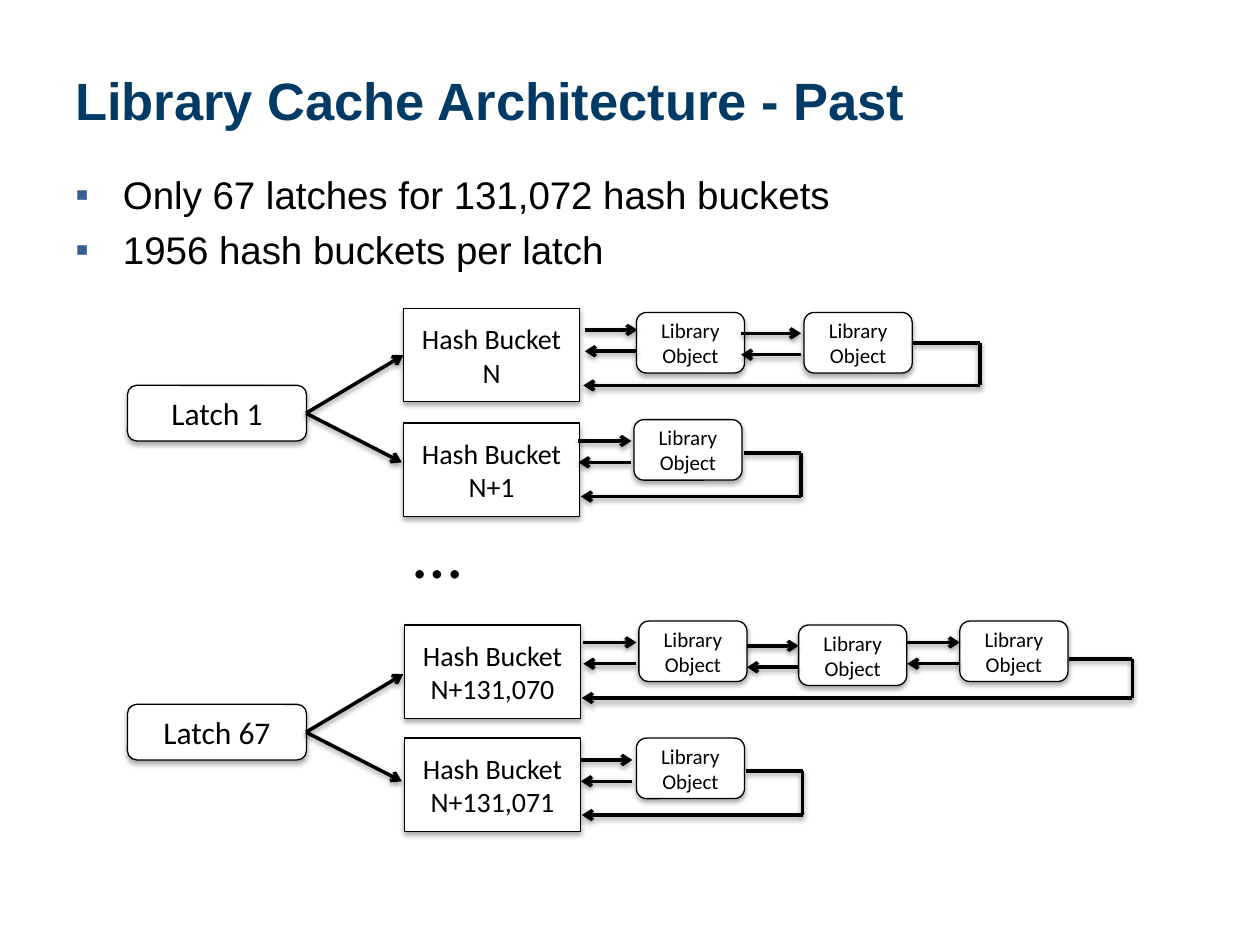
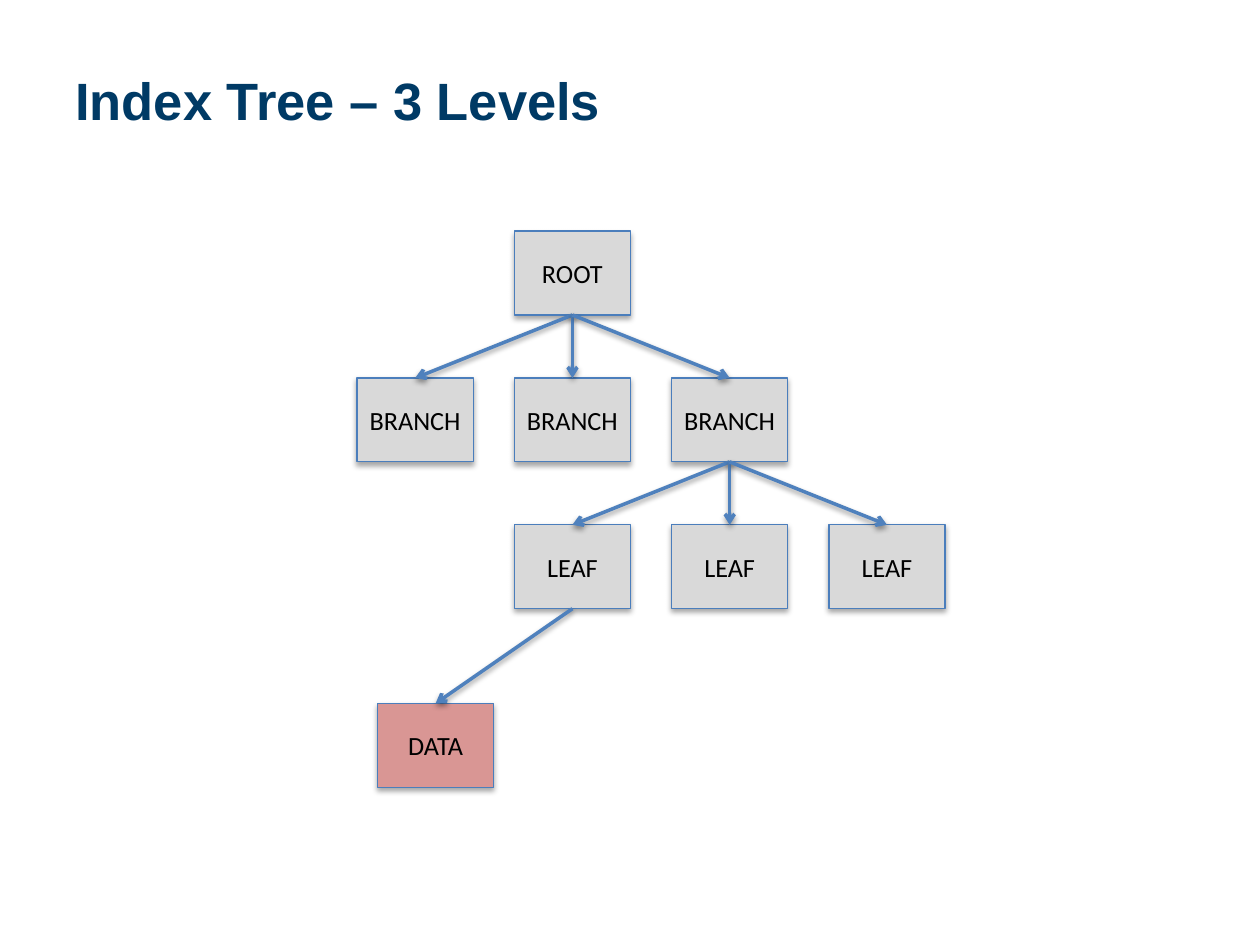
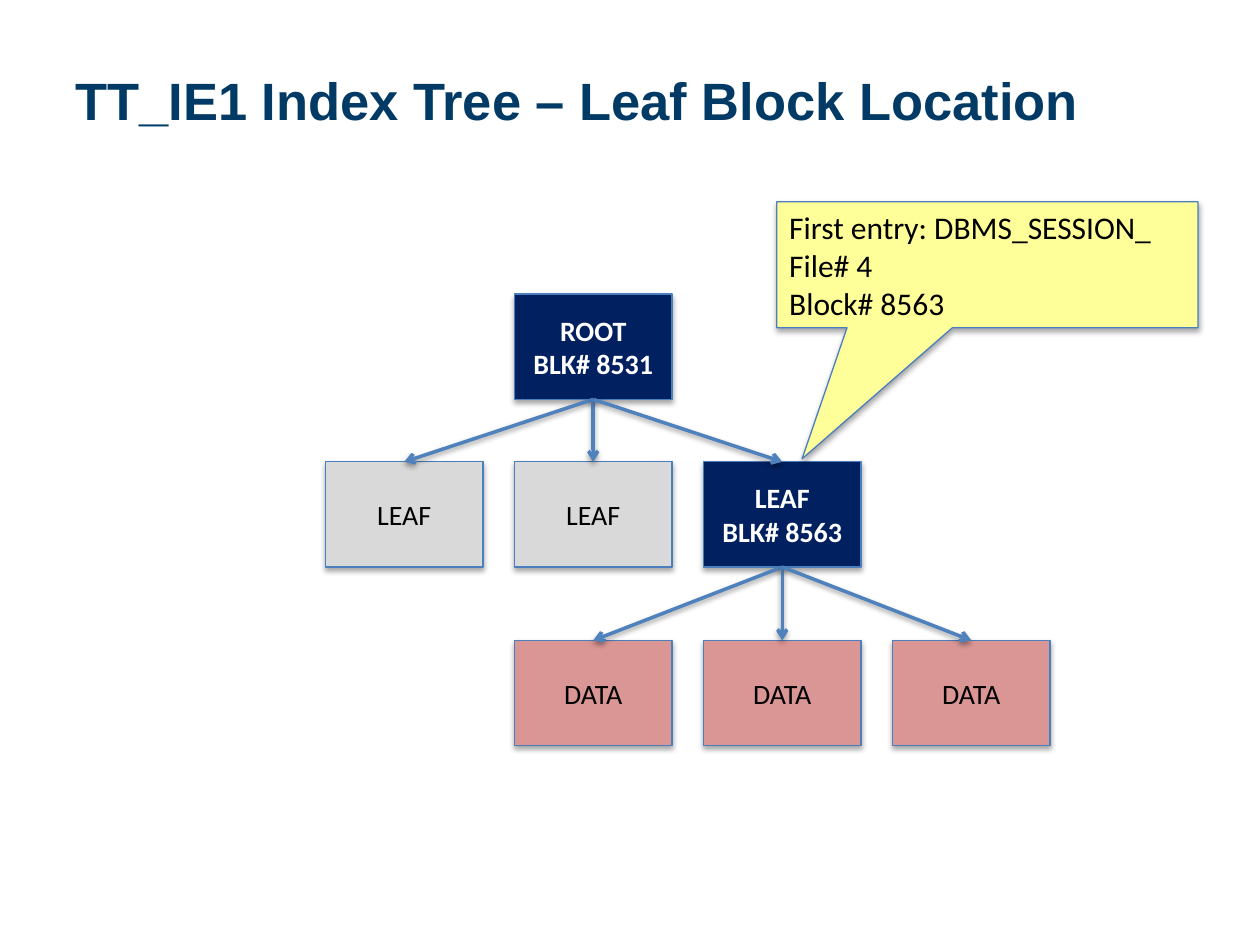
"""Build three slides on library cache latches and index trees."""
from dataclasses import dataclass

from lxml import etree
from pptx import Presentation
from pptx.dml.color import RGBColor
from pptx.enum.shapes import MSO_CONNECTOR, MSO_SHAPE
from pptx.enum.text import MSO_ANCHOR, PP_ALIGN
from pptx.oxml.ns import qn
from pptx.util import Cm, Pt

RECT = MSO_SHAPE.RECTANGLE
ROUNDED = MSO_SHAPE.ROUNDED_RECTANGLE
CALLOUT = MSO_SHAPE.RECTANGULAR_CALLOUT
STRAIGHT = MSO_CONNECTOR.STRAIGHT
TOP, MIDDLE, BOTTOM = MSO_ANCHOR.TOP, MSO_ANCHOR.MIDDLE, MSO_ANCHOR.BOTTOM
LEFT, CENTER = PP_ALIGN.LEFT, PP_ALIGN.CENTER
BOTTOM_SITE, TOP_SITE = 2, 0


@dataclass(frozen=True)
class Theme:
    """Colours, fonts and type sizes of the deck."""
    title: str = "003A65"
    bullet: str = "376092"
    black: str = "000000"
    white: str = "FFFFFF"
    grey: str = "D9D9D9"
    rose: str = "D99694"
    navy: str = "002060"
    yellow: str = "FFFF99"
    outline: str = "4B7EBC"
    arrow: str = "4F81BD"
    heading_font: str = "Arial"
    diagram_font: str = "Calibri"
    title_size: int = 30
    body_size: int = 22
    ellipsis_size: int = 40
    large: int = 18
    medium: int = 16
    node: int = 15
    small: int = 12


T = Theme()


@dataclass(frozen=True)
class Chain:
    """A hash bucket with its linked library objects, in centimetres."""
    label: str
    bucket: tuple
    objects: tuple
    links: tuple
    loop: tuple


@dataclass(frozen=True)
class Grid:
    """Columns and node sizes of an index tree, in centimetres."""
    left: float
    step: float
    width: float
    height: float
    size: int

    def box(self, col, top):
        """Return the frame of the node in a column."""
        return self.left + col * self.step, top, self.width, self.height


CHAINS = (
    Chain("N", (8.13, 6.22), ((12.83, 6.3), (16.21, 6.3)),
          ((11.79, 12.85, 6.65), (14.94, 16.15, 6.72)),
          (18.39, 6.91, 19.76, 7.77, 11.76)),
    Chain("N+1", (8.13, 8.53), ((12.78, 8.46),),
          ((11.66, 12.73, 8.89),),
          (14.99, 9.13, 16.15, 10.01, 11.71)),
    Chain("N+131,070", (8.15, 12.6),
          ((12.88, 12.52), (16.1, 12.6), (19.35, 12.52)),
          ((11.76, 12.83, 12.95), (15.06, 16.1, 13.02), (18.29, 19.35, 12.95)),
          (21.54, 13.28, 22.83, 14.07, 11.73)),
    Chain("N+131,071", (8.15, 14.88), ((12.83, 14.88),),
          ((11.71, 12.75, 15.32),),
          (15.04, 15.54, 16.18, 16.43, 11.73)),
)


def rgb(color):
    """Turn a hex string into a colour."""
    return RGBColor.from_string(color)


def add_shadow(effects, dist, alpha):
    """Put a soft downward shadow in an effect list."""
    shadow = etree.SubElement(effects, qn("a:outerShdw"), blurRad="40000",
                              dist=str(dist), dir="5400000", rotWithShape="0")
    color = etree.SubElement(shadow, qn("a:srgbClr"), val=T.black)
    etree.SubElement(color, qn("a:alpha"), val=str(alpha))


def write(s, text, size, color=T.black, font=T.diagram_font, bold=False,
          align=LEFT, anchor=TOP):
    """Set and format the text of a shape."""
    tf = s.text_frame
    tf.word_wrap = True
    tf.vertical_anchor = anchor
    tf.text = text
    for p in tf.paragraphs:
        p.alignment = align
        for r in p.runs:
            r.font.size = Pt(size)
            r.font.name = font
            r.font.bold = bold
            r.font.color.rgb = rgb(color)


def add_text(slide, box, text, size, **style):
    """Add a text box."""
    s = slide.shapes.add_textbox(*map(Cm, box))
    write(s, text, size, **style)
    return s


def add_box(slide, kind, box, text, size, fill=T.white, line=T.black,
            align=CENTER, anchor=MIDDLE, **style):
    """Add a filled, outlined and shadowed shape with text."""
    s = slide.shapes.add_shape(kind, *map(Cm, box))
    s.fill.solid()
    s.fill.fore_color.rgb = rgb(fill)
    s.line.color.rgb = rgb(line)
    s.line.width = Pt(0.75)
    s.shadow.inherit = False
    add_shadow(s._element.spPr.find(qn("a:effectLst")), 23000, 35000)
    write(s, text, size, align=align, anchor=anchor, **style)
    return s


def add_line(slide, start, end, color=T.black, arrow=True):
    """Add a shadowed line, with an arrowhead at its end if wanted."""
    s = slide.shapes.add_connector(STRAIGHT, *map(Cm, start + end))
    s.line.color.rgb = rgb(color)
    s.line.width = Pt(2)
    properties = s._element.spPr
    if arrow:
        etree.SubElement(properties.find(qn("a:ln")), qn("a:tailEnd"), type="arrow")
    add_shadow(etree.SubElement(properties, qn("a:effectLst")), 20000, 38000)
    return s


def add_slide(prs, title):
    """Add a blank slide with a title."""
    slide = prs.slides.add_slide(prs.slide_layouts[6])
    add_text(slide, (1.27, 0.76, 22.89, 2.51), title, T.title_size, color=T.title,
             font=T.heading_font, bold=True, anchor=MIDDLE)
    return slide


def add_bullets(slide, items):
    """Add the bulleted body text."""
    s = add_text(slide, (1.27, 3.32, 22.89, 14.3), "\n".join(items),
                 T.body_size, font=T.heading_font)
    for i, p in enumerate(s.text_frame.paragraphs):
        props = p._p.get_or_add_pPr()
        props.set("marL", str(Cm(0.96)))
        props.set("indent", str(Cm(-0.96)))
        color = etree.SubElement(props, qn("a:buClr"))
        etree.SubElement(color, qn("a:srgbClr"), val=T.bullet)
        etree.SubElement(props, qn("a:buFont"), typeface=T.heading_font)
        etree.SubElement(props, qn("a:buChar"), char="▪")
        if i:
            p.space_before = Pt(5)


def add_chain(slide, chain):
    """Draw a bucket, its objects, their two-way links and the way back."""
    add_box(slide, RECT, chain.bucket + (3.56, 1.88),
            f"Hash Bucket\n{chain.label}", T.medium)
    for corner in chain.objects:
        add_box(slide, ROUNDED, corner + (2.18, 1.22), "Library Object", T.small)
    for x1, x2, y in chain.links:
        add_line(slide, (x1, y), (x2, y))
        add_line(slide, (x2, y + 0.43), (x1, y + 0.43))
    x, y, turn, back, end = chain.loop
    add_line(slide, (x, y), (turn, y), arrow=False)
    add_line(slide, (turn, y), (turn, back), arrow=False)
    add_line(slide, (turn, back), (end, back))


def add_latch(slide, label, top):
    """Draw a latch and its arrows to two buckets."""
    add_box(slide, ROUNDED, (2.57, top, 3.61, 1.12), label, T.large)
    y = top + 0.56
    for x, drop in ((8.13, -1.17), (8.1, 0.99)):
        add_line(slide, (6.17, y), (x, y + drop))


def add_node(slide, grid, col, top, text, fill=T.grey, **style):
    """Add a tree node in a grid column."""
    s = add_box(slide, RECT, grid.box(col, top), text, grid.size, fill=fill,
                line=T.outline, **style)
    s.text_frame.margin_left = s.text_frame.margin_right = 0
    return s


def add_visited(slide, grid, col, top, text):
    """Add a highlighted tree node."""
    return add_node(slide, grid, col, top, text, fill=T.navy, color=T.white, bold=True)


def join(slide, parent, children):
    """Connect a parent node to each child."""
    for child in children:
        s = add_line(slide, (0, 0), (1, 1), color=T.arrow)
        s.begin_connect(parent, BOTTOM_SITE)
        s.end_connect(child, TOP_SITE)


def build_cache(prs):
    """Build the library cache slide."""
    slide = add_slide(prs, "Library Cache Architecture - Past")
    add_bullets(slide, ("Only 67 latches for 131,072 hash buckets",
                        "1956 hash buckets per latch"))
    add_text(slide, (8.08, 11, 3.56, 1.07), "…", T.ellipsis_size, anchor=BOTTOM)
    for chain in CHAINS:
        add_chain(slide, chain)
    add_latch(slide, "Latch 1", 7.77)
    add_latch(slide, "Latch 67", 14.2)


def build_levels(prs):
    """Build the three-level index tree slide."""
    slide = add_slide(prs, "Index Tree – 3 Levels")
    grid = Grid(7.2, 3.17, 2.34, 1.69, T.node)
    root = add_node(slide, grid, 1, 4.66, "ROOT")
    branches = [add_node(slide, grid, col, 7.62, "BRANCH") for col in range(3)]
    leaves = [add_node(slide, grid, col, 10.58, "LEAF") for col in range(1, 4)]
    data = add_node(slide, grid, 0.13, 14.18, "DATA", fill=T.rose)
    join(slide, root, branches)
    join(slide, branches[-1], leaves)
    join(slide, leaves[0], [data])


def build_location(prs):
    """Build the leaf block location slide."""
    slide = add_slide(prs, "TT_IE1 Index Tree – Leaf Block Location")
    grid = Grid(6.56, 3.81, 3.18, 2.12, T.medium)
    root = add_visited(slide, grid, 1, 5.93, "ROOT\nBLK# 8531")
    leaves = [add_node(slide, grid, col, 9.31, "LEAF") for col in range(2)]
    found = add_visited(slide, grid, 2, 9.31, "LEAF\nBLK# 8563")
    data = [add_node(slide, grid, col, 12.91, "DATA", fill=T.rose)
            for col in range(1, 4)]
    join(slide, root, leaves + [found])
    join(slide, found, data)
    note = add_box(slide, CALLOUT, (15.66, 4.07, 8.49, 2.54),
                   "First entry: DBMS_SESSION_\nFile# 4\nBlock# 8563", T.large,
                   fill=T.yellow, line=T.outline, align=LEFT, anchor=TOP)
    note.adjustments[0] = -0.44
    note.adjustments[1] = 1.54


def main():
    """Build and save the deck."""
    prs = Presentation()
    prs.slide_width, prs.slide_height = Cm(25.4), Cm(19.05)
    build_cache(prs)
    build_levels(prs)
    build_location(prs)
    prs.save("out.pptx")


if __name__ == "__main__":
    main()
